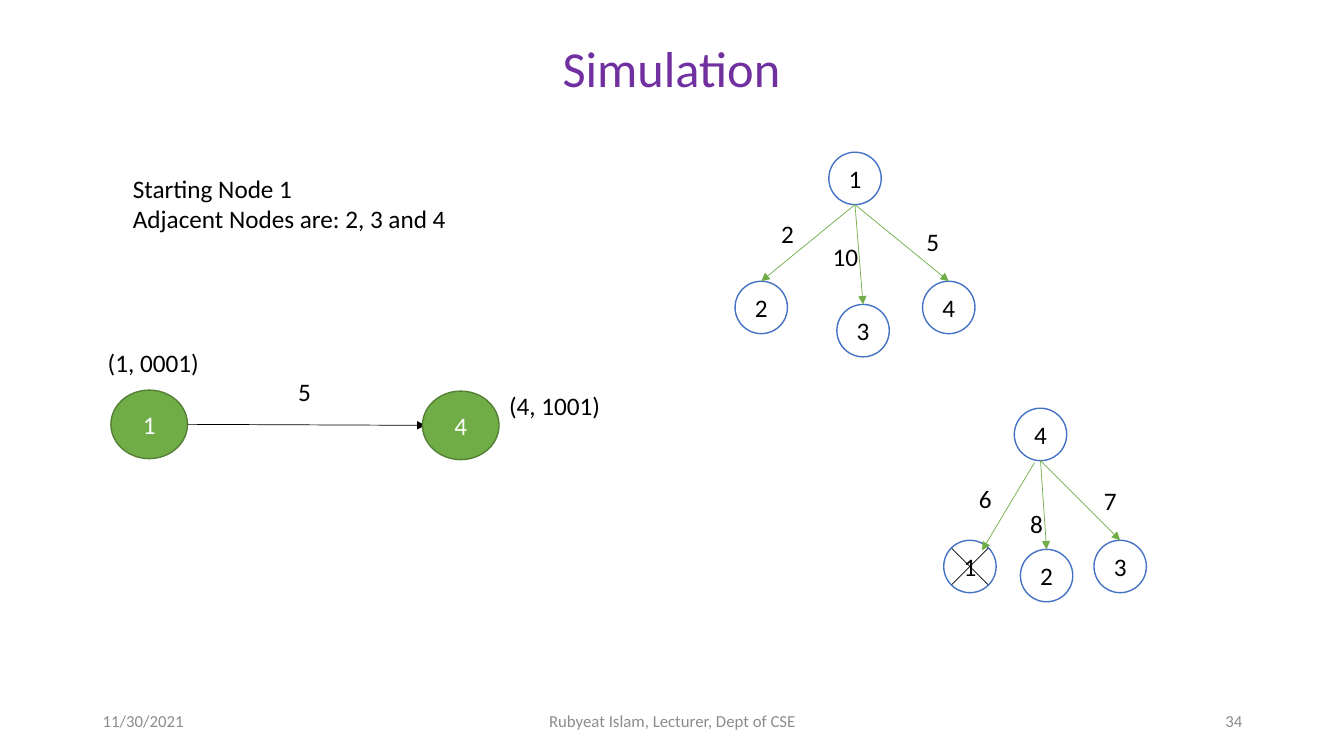
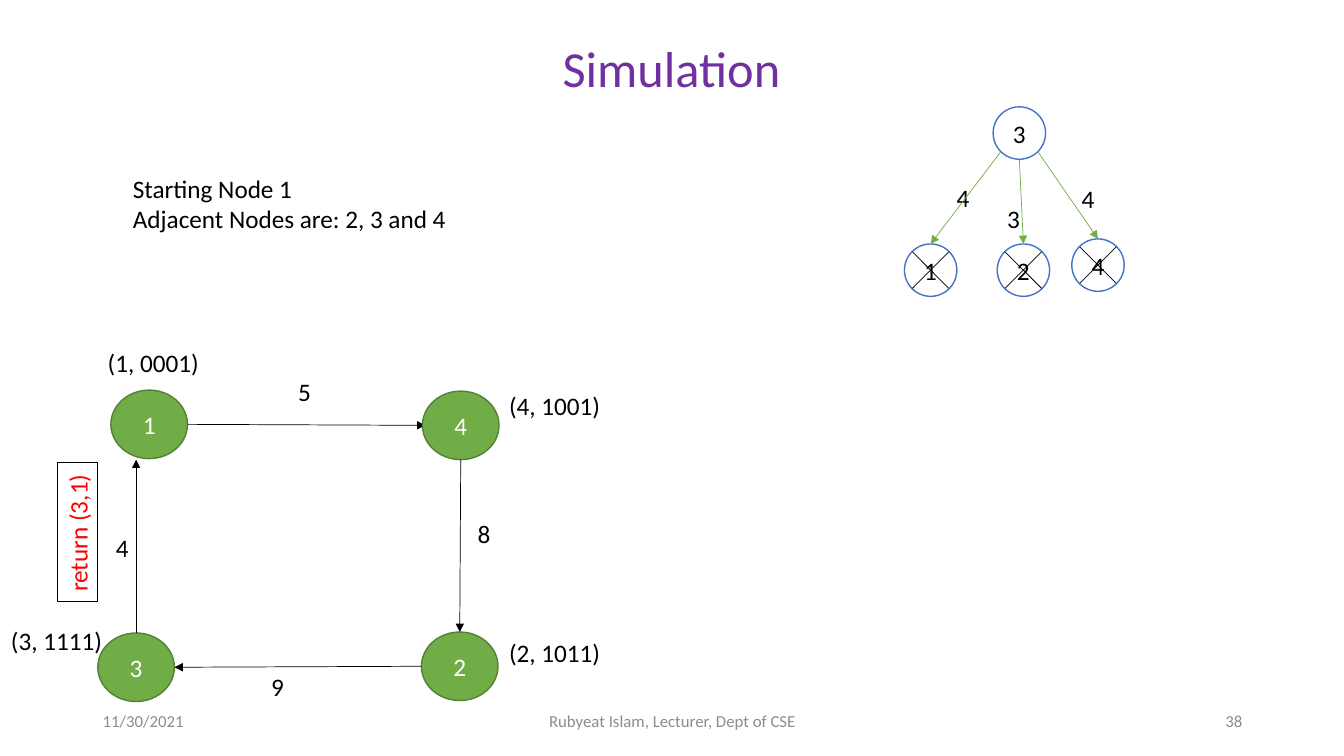
from lxml.etree import SubElement as Sub
from pptx import Presentation as Deck
from pptx.dml.color import RGBColor as Rgb
from pptx.enum.shapes import MSO_CONNECTOR as Conn, MSO_SHAPE as Form
from pptx.enum.text import MSO_ANCHOR as Anchor, PP_ALIGN as Align
from pptx.oxml.ns import qn
from pptx.util import Inches, Pt

FONT = "Calibri"
BLACK, WHITE, RED = "000000", "FFFFFF", "FF0000"
PURPLE, GRAY, BLUE = "7030A0", "8C8C8C", "4472C4"
GREEN, DARK = "70AD47", "538035"
SMALL, WIDE, TALL = 0.52, 0.76, 0.68
RIM = 0.18


def paint(target, tint):
    target.solid()
    target.fore_color.rgb = Rgb.from_string(tint)


def write(frame, text, size=18, tint=BLACK, align=Align.LEFT,
          anchor=Anchor.TOP, wrap=False):
    frame.word_wrap = wrap
    frame.vertical_anchor = anchor
    frame.text = text
    for para in frame.paragraphs:
        para.alignment = align
        font = para.font
        font.name, font.size = FONT, Pt(size)
        font.color.rgb = Rgb.from_string(tint)


class Board:
    def __init__(self):
        self.deck = Deck()
        self.deck.slide_width = Inches(13.33)
        self.deck.slide_height = Inches(7.5)

    def start(self, number):
        layout = self.deck.slide_layouts[6]
        self.shapes = self.deck.slides.add_slide(layout).shapes
        foot = [
            (0.92, 3, "11/30/2021", Align.LEFT),
            (4.42, 4.5, "Rubyeat Islam, Lecturer, Dept of CSE", Align.CENTER),
            (9.42, 3, number, Align.RIGHT),
        ]
        for x, width, text, align in foot:
            self.text(text, x, 6.95, width, size=12, tint=GRAY, align=align,
                      anchor=Anchor.MIDDLE, wrap=True)
        self.text("Simulation", 0.44, 0.32, 12.44, 0.71, size=36,
                  tint=PURPLE, align=Align.CENTER, wrap=True)
        self.text("Starting Node 1\nAdjacent Nodes are: 2, 3 and 4",
                  1.22, 1.67, 3.34, 0.71)

    def text(self, text, x, y, width=0.33, height=0.4, **style):
        box = self.shapes.add_textbox(
            Inches(x), Inches(y), Inches(width), Inches(height))
        write(box.text_frame, text, **style)

    def shape(self, form, text, x, y, width, height, fill, line, **style):
        shape = self.shapes.add_shape(
            form, Inches(x), Inches(y), Inches(width), Inches(height))
        shape.shadow.inherit = False
        paint(shape.fill, fill)
        paint(shape.line.fill, line)
        shape.line.width = Pt(1)
        write(shape.text_frame, text, **style)
        return shape

    def node(self, text, x, y, width=SMALL, height=SMALL,
             fill=WHITE, line=BLUE, tint=BLACK):
        return self.shape(Form.OVAL, text, x, y, width, height, fill, line,
                          tint=tint, align=Align.CENTER,
                          anchor=Anchor.MIDDLE, wrap=True)

    def stop(self, text, x, y, code, left, top):
        self.text(code, left, top, 1.12)
        return self.node(text, x, y, WIDE, TALL, GREEN, DARK, WHITE)

    def line(self, x, y, right, low, tint=BLACK, arrow=True, goal=None):
        line = self.shapes.add_connector(
            Conn.STRAIGHT, Inches(x), Inches(y), Inches(right), Inches(low))
        paint(line.line.fill, tint)
        line.line.width = Pt(0.5)
        if goal is not None:
            line.end_connect(goal, 0)
        props = line.element.spPr
        if arrow:
            Sub(props.find(qn("a:ln")), qn("a:tailEnd"), type="triangle")
        Sub(props, qn("a:effectLst"))

    def cross(self, x, y):
        mid, level = x + SMALL / 2, y + SMALL / 2
        for rise in (-RIM, RIM):
            self.line(mid - RIM, level + rise, mid + RIM, level - rise,
                      arrow=False)

    def tree(self, root, x, y, kids, spread=False):
        self.node(root, x, y)
        mid, level = x + SMALL / 2, y + SMALL / 2
        for side, (name, left, top, cost, spot, dead) in zip((-1, 0, 1), kids):
            kid = self.node(name, left, top)
            self.text(cost, *spot)
            slant = spread and side
            drop = RIM if slant else SMALL / 2
            self.line(mid + slant * RIM, level + drop, left + SMALL / 2, top,
                      GREEN, goal=kid)
            if dead:
                self.cross(left, top)

    def route(self):
        self.stop("1", 1.1, 3.87, "(1, 0001)", 0.97, 3.4)
        self.line(1.86, 4.21, 4.22, 4.22)
        self.stop("4", 4.19, 3.88, "(4, 1001)", 4.95, 3.82)
        self.text("5", 2.86, 3.68)


def first(board):
    board.start("34")
    board.tree("1", 8.22, 1.51, [
        ("2", 7.29, 2.79, "2", (7.65, 2.12), False),
        ("3", 8.3, 3.02, "10", (8.16, 2.34, 0.46), False),
        ("4", 9.15, 2.79, "5", (9.09, 2.2), False),
    ])
    board.route()
    board.node("1", 9.36, 5.36)
    board.text("6", 9.61, 4.75)
    board.line(10.26, 4.59, 9.74, 5.46, GREEN)
    board.cross(9.36, 5.36)
    board.node("4", 10.06, 4.05)
    for name, x, y, cost, spot in [
        ("2", 10.12, 5.45, "8", (10.12, 4.99)),
        ("3", 10.85, 5.36, "7", (10.85, 4.77)),
    ]:
        kid = board.node(name, x, y)
        board.text(cost, *spot)
        board.line(10.32, 4.57, x + SMALL / 2, y, GREEN, goal=kid)


def second(board):
    board.start("38")
    board.route()
    goal = board.stop("2", 4.18, 6.27, "(2, 1011)", 4.95, 6.27)
    board.line(4.57, 4.56, 4.57, 6.27, goal=goal)
    board.text("8", 4.64, 5.09)
    board.stop("3", 0.97, 6.28, "(3, 1111)", 0.01, 6.15)
    board.line(4.18, 6.61, 1.73, 6.62)
    board.text("9", 2.59, 6.61)
    note = board.shape(Form.RECTANGLE, "return (3,1)", 0.08, 5.08, 1.38, 0.4,
                       WHITE, BLACK, tint=RED)
    note.rotation = 270
    board.line(1.35, 6.28, 1.35, 4.56)
    board.text("4", 1.05, 5.23)
    board.tree("3", 9.85, 1.06, [
        ("1", 8.97, 2.42, "4", (9.39, 1.76), True),
        ("2", 9.89, 2.42, "3", (9.89, 1.97), True),
        ("4", 10.63, 2.37, "4", (10.63, 1.77), True),
    ], spread=True)


def main():
    board = Board()
    first(board)
    second(board)
    board.deck.save("out.pptx")


if __name__ == "__main__":
    main()
